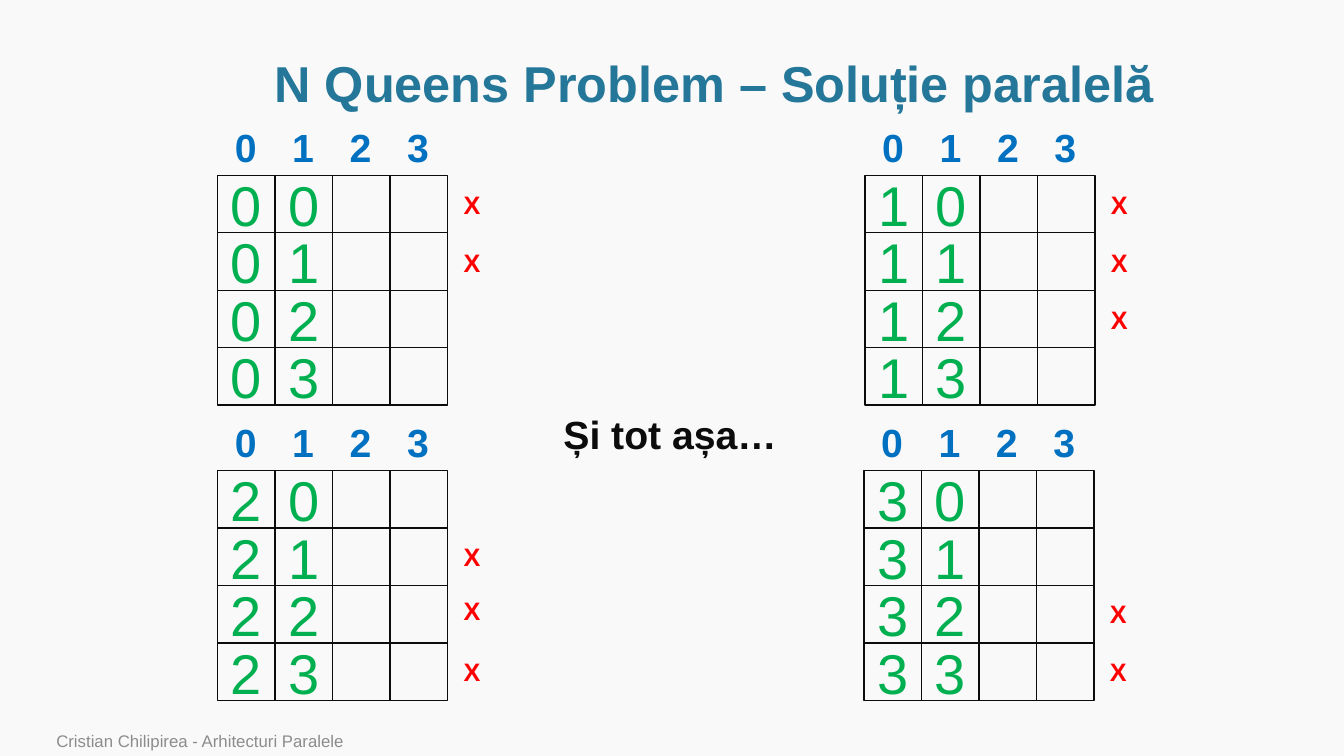
from pptx import Presentation
from pptx.dml.color import RGBColor
from pptx.enum.shapes import MSO_SHAPE
from pptx.enum.text import MSO_ANCHOR, MSO_AUTO_SIZE, PP_ALIGN
from pptx.util import Inches, Pt

FONT = "Arial"
BACKGROUND, INK, GREY = "F9F9F9", "0C0C0C", "8C8C8C"
TEAL, BLUE, GREEN, RED = "247798", "0070C0", "00B050", "FF0000"
SIZE = 4
CELL = 0.57

BOARDS = [
    (0, 2.16, 1.74, {0: 0.09, 1: 0.09}),
    (2, 2.16, 4.67, {1: 0.08, 2: 0.05, 3: 0.08}),
    (1, 8.58, 1.74, {0: 0.09, 1: 0.09, 2: 0.09}),
    (3, 8.57, 4.67, {2: 0.08, 3: 0.08}),
]


def colour(code):
    return RGBColor.from_string(code)


def write(frame, text, size, code, bold=False, align=PP_ALIGN.LEFT):
    para = frame.paragraphs[0]
    para.alignment = align
    span = para.add_run()
    span.text = text
    span.font.name = FONT
    span.font.size = Pt(size)
    span.font.bold = bold
    span.font.color.rgb = colour(code)
    return para


def place(box, left, top, width, height):
    box.left, box.top = Inches(left), Inches(top)
    box.width, box.height = Inches(width), Inches(height)


def add_title(page, text):
    title = page.shapes.title
    place(title, 1.14, 0.51, 11.89, 0.69)
    frame = title.text_frame
    frame.auto_size = MSO_AUTO_SIZE.NONE
    frame.vertical_anchor = MSO_ANCHOR.MIDDLE
    para = write(frame, text, 36, TEAL, True, PP_ALIGN.CENTER)
    para.line_spacing = 0.9


def add_label(page, text, left, top, width, height, size, code):
    box = page.shapes.add_textbox(
        Inches(left), Inches(top), Inches(width), Inches(height))
    frame = box.text_frame
    frame.word_wrap = False
    frame.auto_size = MSO_AUTO_SIZE.SHAPE_TO_FIT_TEXT
    write(frame, text, size, code, True)


def add_cell(page, text, left, top):
    cell = page.shapes.add_shape(
        MSO_SHAPE.RECTANGLE, Inches(left), Inches(top), Inches(CELL), Inches(CELL))
    cell.shadow.inherit = False
    cell.fill.background()
    cell.line.color.rgb = colour(INK)
    cell.line.width = Pt(1)
    if text:
        cell.text_frame.vertical_anchor = MSO_ANCHOR.MIDDLE
        write(cell.text_frame, text, 40, GREEN, align=PP_ALIGN.CENTER)


def add_board(page, first_queen, left, top, rejected):
    for column in range(SIZE):
        add_label(page, str(column), left + 0.07 + column * CELL, top - CELL,
                  0.42, CELL, 28, BLUE)
    for row in range(SIZE):
        row_top = top + row * CELL
        for column, text in enumerate([str(first_queen), str(row), "", ""]):
            add_cell(page, text, left + column * CELL, row_top)
        if row in rejected:
            add_label(page, "X", left + SIZE * CELL + 0.06, row_top + rejected[row],
                      0.37, 0.4, 18, RED)


def add_footer(page, text):
    box = page.shapes.add_textbox(
        Inches(0.46), Inches(7.22), Inches(9.82), Inches(0.28))
    box.text_frame.word_wrap = True
    box.text_frame.vertical_anchor = MSO_ANCHOR.BOTTOM
    write(box.text_frame, text, 12, GREY)


def main():
    deck = Presentation()
    deck.slide_width, deck.slide_height = Inches(13.33), Inches(7.5)
    page = deck.slides.add_slide(deck.slide_layouts[5])
    page.background.fill.solid()
    page.background.fill.fore_color.rgb = colour(BACKGROUND)
    add_title(page, "N Queens Problem – Soluție paralelă")
    for board in BOARDS:
        add_board(page, *board)
    add_label(page, "Și tot așa…", 5.49, 4.02, 2.34, 0.57, 28, INK)
    add_footer(page, "Cristian Chilipirea - Arhitecturi Paralele")
    deck.save("out.pptx")


if __name__ == "__main__":
    main()
